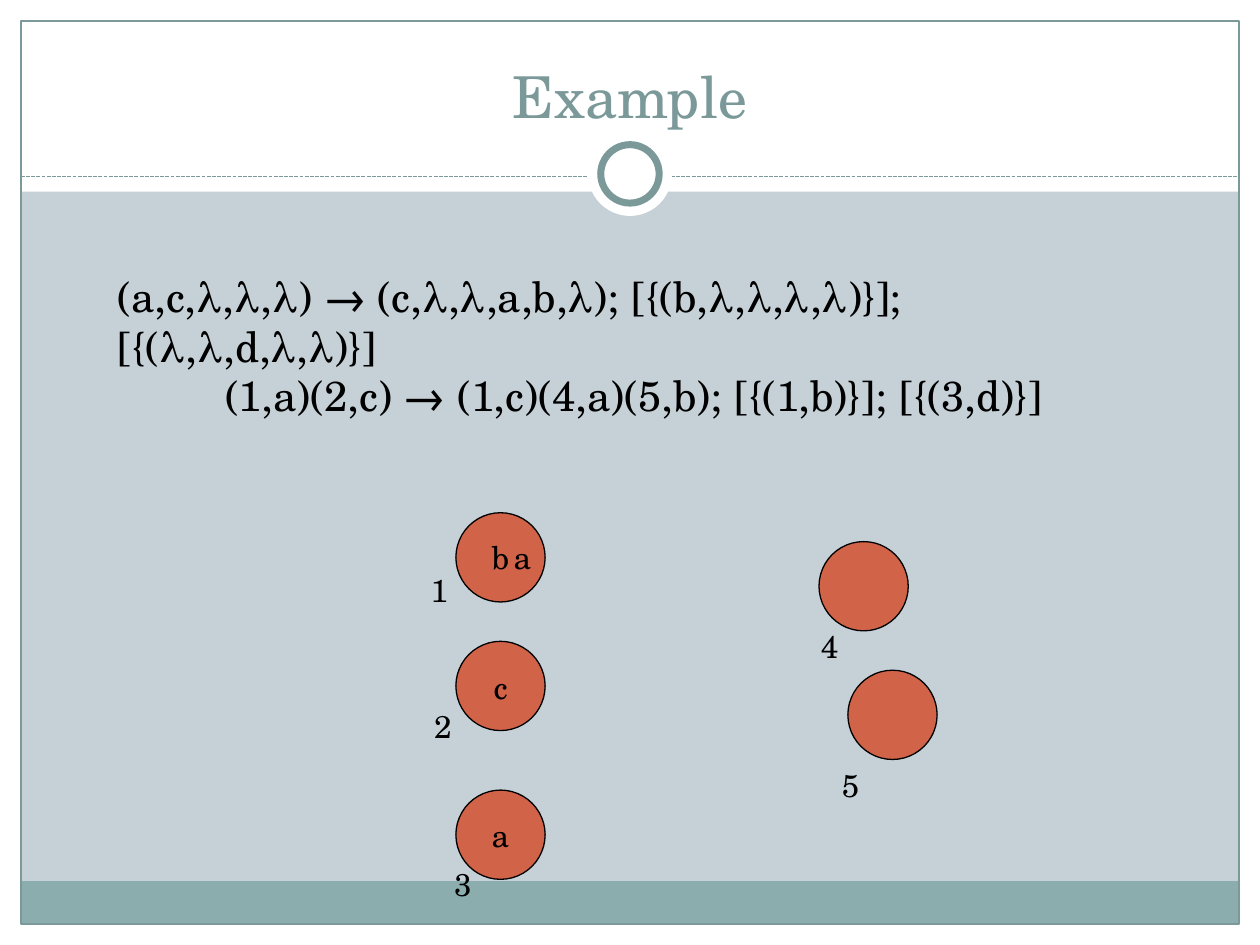
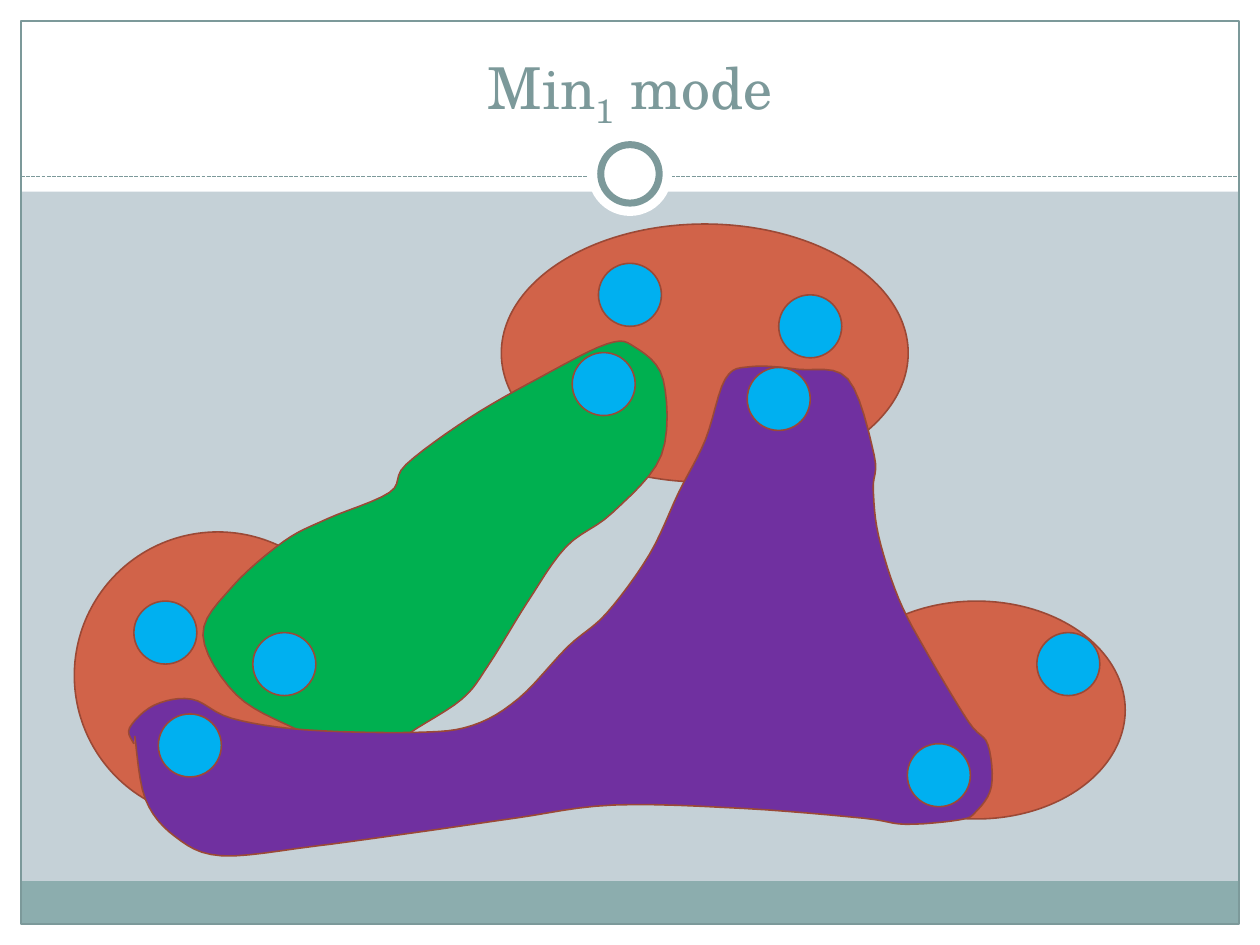
from dataclasses import dataclass
from itertools import chain
from pptx import Presentation
from pptx.dml.color import RGBColor
from pptx.enum.dml import MSO_LINE
from pptx.enum.shapes import MSO_CONNECTOR, MSO_SHAPE as Preset
from pptx.enum.text import MSO_ANCHOR as Anchor, MSO_AUTO_SIZE as Fit, PP_ALIGN as Align
from pptx.oxml import parse_xml
from pptx.oxml.ns import nsdecls
from pptx.util import Pt


@dataclass(frozen=True)
class Theme:
    font: str = "TeX Gyre Schola"
    title_size: float = 33
    rule_size: float = 24
    label_size: float = 18
    thin: float = 0.75
    medium: float = 0.9
    thick: float = 4
    background: str = "C5D1D7"
    white: str = "FFFFFF"
    black: str = "000000"
    accent: str = "7C999A"
    footer: str = "8CADAE"
    membrane: str = "D16349"
    outline: str = "9B4936"
    green: str = "00B050"
    purple: str = "7030A0"
    dot: str = "00B0F0"


theme = Theme()

# Shared layout, in points
WIDTH, HEIGHT, MARGIN = 720, 540, 12
HEADER_HEIGHT, FOOTER_HEIGHT = 109.5, 24.5
DASH_Y, RING_Y, HALO_SIZE, RING_SIZE = 100.8, 99.4, 48, 33.4
TITLE_PLACE = (24, 18, 672, 60)

# Content of the "Example" slide
RULES = [
    dict(text="(1,a)(2,c) → (1,c)(4,a)(5,b); [{(1,b)}]; [{(3,d)}]",
         place=(121.5, 207.5, 497.5, 36), wrap=False),
    dict(text="(a,c,λ,λ,λ) → (c,λ,λ,a,b,λ); [{(b,λ,λ,λ,λ)}]; [{(λ,λ,d,λ,λ)}]",
         place=(60, 151, 595.5, 36), wrap=True),
]
CELL_SIZE, LABEL_SIZE = 51, (24.5, 29)
INPUT_X = 260.5  # left edge of the column of cells 1 to 3
# Cells are numbered in order; offsets run from the top left corner of the cell
CELLS = [
    dict(corner=(INPUT_X, 293), inside="b", number_offset=(-21.5, 29.5)),
    dict(corner=(INPUT_X, 366.5), inside="", number_offset=(-19.5, 34)),
    dict(corner=(INPUT_X, 451.5), inside="a", number_offset=(-8, 39.5)),
    dict(corner=(468, 309.5), inside="", number_offset=(-6, 45.5)),
    dict(corner=(484.5, 383), inside="", number_offset=(-10.5, 51)),
]
LOOSE_LETTERS = [  # letter, cell number, offset
    ("a", 1, (26, 11)),
    ("c", 2, (14.5, 11.5)),
]

# Content of the "Min mode" slide: each membrane holds its dots
DOT_SIZE = 36
MEMBRANES = {
    "left": dict(place=(42.5, 304, 164, 164),
                 dots=[(144.5, 361.5), (90.5, 408), (76.5, 343.5)]),
    "top": dict(place=(286.5, 128, 232.5, 147.5),
                dots=[(342, 150.5), (327, 201.5), (427, 210), (445, 168.5)]),
    "right": dict(place=(473, 343.5, 170, 124.5),
                  dots=[(518.5, 425), (592.5, 361.5)]),
}
# A region is a smooth curve through a few anchors on each of its sides
CURVE_STEPS = 6
GREEN_SIDES = {
    "upper edge": [(116, 363), (132.5, 335.5), (162, 309.5), (187, 296.5), (222.5, 281.5),
                   (232, 265.5), (268, 239), (308, 216), (347, 196.5)],
    "head": [(363, 198.5), (379, 217), (378, 260)],
    "lower edge": [(350, 293), (323.5, 312.5), (301.5, 344), (279.5, 379.5),
                   (264, 399.5), (234, 419)],
    "foot": [(214, 435), (170, 417), (135, 397)],
}
PURPLE_SIDES = {
    "left end": [(77, 420.5), (83, 456.5), (100, 478), (126.5, 489)],
    "bottom": [(180, 483.5), (242.5, 475), (294.5, 467.5), (350.5, 460), (425.5, 462),
               (493, 467.5), (517.5, 471), (548, 468.5)],
    "right foot": [(557.5, 464), (566.5, 449.5), (564.5, 425.5), (553.5, 412.5)],
    "right edge": [(530, 373.5), (513.5, 342), (502, 306), (499, 279.5), (499.5, 260),
                   (484.5, 216.5)],
    "head": [(456, 211), (429, 209.5), (414.5, 216.5)],
    "left edge": [(403, 251.5), (388, 281), (371, 317), (346.5, 350.5), (324.5, 369.5),
                  (296.5, 399)],
    "upper edge": [(270, 414.5), (237.5, 418.5), (174, 417), (132.5, 410.5)],
    "hook": [(109.5, 399.5), (88, 403), (74, 416), (76.5, 425)],
}
REGIONS = [
    dict(sides=GREEN_SIDES, fill=theme.green, close=True),
    dict(sides=PURPLE_SIDES, fill=theme.purple, close=False),
]


# Geometry
def shift(corner, offset):
    return corner[0] + offset[0], corner[1] + offset[1]


def square(corner, size):
    return (*corner, size, size)


def centred(x, y, size):
    return square((x - size / 2, y - size / 2), size)


def blend(before, start, end, after, t):
    """One coordinate of a Catmull-Rom curve, t of the way from start to end."""
    return start + t / 2 * (
        end - before
        + t * (2 * before - 5 * start + 4 * end - after)
        + t * t * (3 * (start - end) + after - before))


def smooth_curve(anchors, close):
    """Points along a curve through all anchors; an open curve repeats its ends."""
    if close:
        padded = [anchors[-1], *anchors, anchors[0], anchors[1]]
    else:
        padded = [anchors[0], *anchors, anchors[-1]]
    curve = [anchors[0]]
    for four in zip(padded, padded[1:], padded[2:], padded[3:]):
        xs, ys = zip(*four)
        for step in range(1, CURVE_STEPS + 1):
            t = step / CURVE_STEPS
            curve.append((blend(*xs, t), blend(*ys, t)))
    return curve


# Text and shapes
def color(value):
    return RGBColor.from_string(value)


def write(frame, text, size=theme.label_size, ink=theme.black, align=Align.LEFT,
          anchor=Anchor.TOP, wrap=False, fit=Fit.NONE):
    """Fill a text frame; text is a string or a list of (string, is_subscript)."""
    frame.word_wrap, frame.auto_size, frame.vertical_anchor = wrap, fit, anchor
    para = frame.paragraphs[0]
    para.alignment = align
    for part, subscript in [(text, False)] if isinstance(text, str) else text:
        span = para.add_run()
        span.text = part
        span.font.name, span.font.size = theme.font, Pt(size)
        span.font.color.rgb = color(ink)
        if subscript:
            span.font._element.set("baseline", "-25000")


def paint(shape, fill=None, line=None, weight=theme.thin):
    shape.shadow.inherit = False
    if fill:
        shape.fill.solid()
        shape.fill.fore_color.rgb = color(fill)
    else:
        shape.fill.background()
    if line:
        shape.line.color.rgb = color(line)
        shape.line.width = Pt(weight)
    else:
        shape.line.fill.background()
    return shape


def add_preset(page, preset, place, **look):
    return paint(page.shapes.add_shape(preset, *map(Pt, place)), **look)


def add_text(page, text, place, **style):
    box = page.shapes.add_textbox(*map(Pt, place))
    write(box.text_frame, text, fit=Fit.SHAPE_TO_FIT_TEXT, **style)


def add_region(page, sides, fill, close):
    anchors = list(chain.from_iterable(sides.values()))
    points = [(Pt(x), Pt(y)) for x, y in smooth_curve(anchors, close)]
    builder = page.shapes.build_freeform(*points[0], scale=1.0)
    builder.add_line_segments(points[1:], close=close)
    paint(builder.convert_to_shape(), fill, theme.outline, theme.medium)


# What the slides share
def add_dashes(page):
    dashes = page.shapes.add_connector(
        MSO_CONNECTOR.STRAIGHT, Pt(MARGIN), Pt(DASH_Y), Pt(WIDTH - MARGIN), Pt(DASH_Y))
    dashes.line.color.rgb = color(theme.accent)
    dashes.line.width = Pt(theme.thin)
    dashes.line.dash_style = MSO_LINE.SQUARE_DOT
    dashes.element.spPr.append(parse_xml(f"<a:effectLst {nsdecls('a')}/>"))
    return dashes


def add_frame(page):
    """Draw the bands, border, dashed line and ring; return them back to front."""
    right, bottom, inner = WIDTH - MARGIN, HEIGHT - MARGIN, WIDTH - 2 * MARGIN
    bands = [
        ((0, bottom, WIDTH, MARGIN), theme.white),
        ((0, 0, WIDTH, HEADER_HEIGHT), theme.white),
        ((0, 0, MARGIN, HEIGHT), theme.white),
        ((right, 0, MARGIN, HEIGHT), theme.white),
        ((MARGIN, bottom - FOOTER_HEIGHT, inner, FOOTER_HEIGHT), theme.footer),
    ]
    border = (MARGIN, MARGIN, inner, HEIGHT - 2 * MARGIN)
    halo, ring = (centred(WIDTH / 2, RING_Y, size) for size in (HALO_SIZE, RING_SIZE))
    return [
        *[add_preset(page, Preset.RECTANGLE, place, fill=fill) for place, fill in bands],
        add_preset(page, Preset.RECTANGLE, border, line=theme.accent),
        add_dashes(page),
        add_preset(page, Preset.OVAL, halo, fill=theme.white),
        add_preset(page, Preset.OVAL, ring, fill=theme.white, line=theme.accent,
                   weight=theme.thick),
    ]


def share_frame(deck, page):
    """Move the frame to the master, behind its placeholders."""
    tree = deck.slide_master.shapes.element
    for index, part in enumerate(add_frame(page)):
        part.element.xpath(".//p:cNvPr")[0].set("id", str(100 + index))
        tree.insert(2 + index, part.element)


def add_page(deck, title):
    page = deck.slides.add_slide(deck.slide_layouts[5])
    head = page.shapes.title
    head.left, head.top, head.width, head.height = map(Pt, TITLE_PLACE)
    write(head.text_frame, title, size=theme.title_size, ink=theme.accent,
          align=Align.CENTER, anchor=Anchor.BOTTOM, wrap=True)
    return page


# The slides
def fill_example(page):
    for cell in CELLS:
        circle = add_preset(page, Preset.OVAL, square(cell["corner"], CELL_SIZE),
                            fill=theme.membrane, line=theme.black)
        if cell["inside"]:
            write(circle.text_frame, cell["inside"], align=Align.CENTER, anchor=Anchor.MIDDLE)
    numbers = [(str(n), n, cell["number_offset"]) for n, cell in enumerate(CELLS, 1)]
    for text, number, offset in numbers + LOOSE_LETTERS:
        corner = shift(CELLS[number - 1]["corner"], offset)
        add_text(page, text, (*corner, *LABEL_SIZE))
    for rule in RULES:
        add_text(page, **rule, size=theme.rule_size)


def fill_mode(page):
    outlined = dict(line=theme.outline, weight=theme.medium)
    for membrane in MEMBRANES.values():
        add_preset(page, Preset.OVAL, membrane["place"], fill=theme.membrane, **outlined)
    for region in REGIONS:
        add_region(page, **region)
    for corner in chain.from_iterable(membrane["dots"] for membrane in MEMBRANES.values()):
        add_preset(page, Preset.OVAL, square(corner, DOT_SIZE), fill=theme.dot, **outlined)


deck = Presentation()
deck.slide_width, deck.slide_height = Pt(WIDTH), Pt(HEIGHT)
backdrop = deck.slide_master.background.fill
backdrop.solid()
backdrop.fore_color.rgb = color(theme.background)

example = add_page(deck, "Example")
share_frame(deck, example)
fill_example(example)
fill_mode(add_page(deck, [("Min", False), ("1", True), (" mode", False)]))

deck.save("out.pptx")
